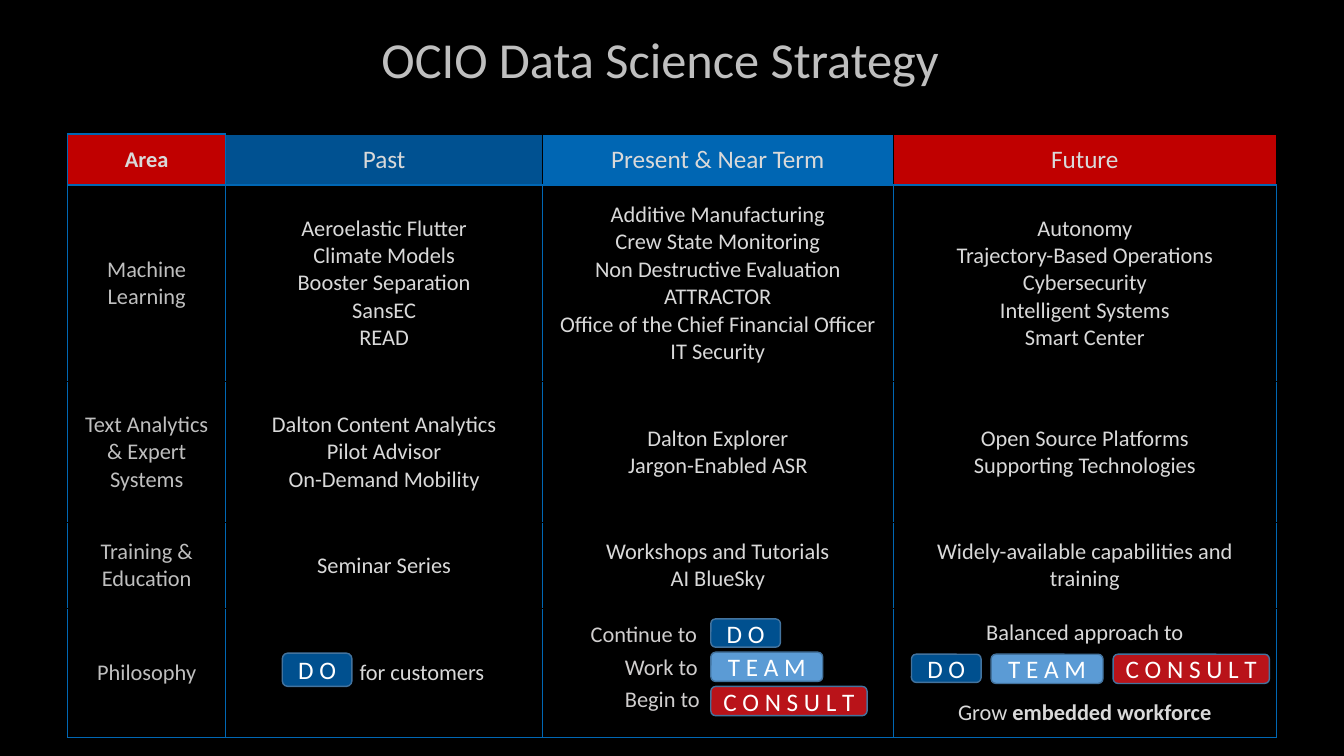
from lxml import etree
from pptx import Presentation
from pptx.dml.color import RGBColor
from pptx.enum.shapes import MSO_SHAPE
from pptx.enum.text import MSO_ANCHOR, PP_ALIGN
from pptx.oxml.ns import qn
from pptx.util import Inches, Pt

ROUNDED = MSO_SHAPE.ROUNDED_RECTANGLE
MIDDLE = MSO_ANCHOR.MIDDLE
CENTER = PP_ALIGN.CENTER
LEFT = PP_ALIGN.LEFT

FONT = "Calibri"
BLACK = RGBColor(0x00, 0x00, 0x00)
WHITE = RGBColor(0xFF, 0xFF, 0xFF)
SILVER = RGBColor(0xBF, 0xBF, 0xBF)
PALE_GREY = RGBColor(0xD9, 0xD9, 0xD9)
LABEL_GREY = RGBColor(0xD0, 0xCE, 0xCE)
GRID_BLUE = RGBColor(0x00, 0x67, 0xB4)
PAST_BLUE = RGBColor(0x00, 0x51, 0x91)
PRESENT_BLUE = RGBColor(0x00, 0x66, 0xB3)
HEADER_RED = RGBColor(0xC0, 0x00, 0x00)
BADGE_EDGE = RGBColor(0x43, 0x73, 0x9E)
DO_BLUE = RGBColor(0x00, 0x50, 0x8F)
TEAM_BLUE = RGBColor(0x5B, 0x9B, 0xD5)
CONSULT_RED = RGBColor(0xB9, 0x13, 0x19)

COLUMN_WIDTHS = (1.57, 3.14, 3.48, 3.8)
ROW_HEIGHTS = (0.49, 1.95, 1.4, 0.85, 1.28)
HEADER_FILLS = (HEADER_RED, PAST_BLUE, PRESENT_BLUE, HEADER_RED)
STRATEGY = (
    (("Area",), ("Past",), ("Present & Near Term",), ("Future",)),
    (
        ("Machine Learning",),
        ("Aeroelastic Flutter", "Climate Models", "Booster Separation", "SansEC", "READ"),
        ("Additive Manufacturing", "Crew State Monitoring", "Non Destructive Evaluation",
         "ATTRACTOR", "Office of the Chief Financial Officer", "IT Security"),
        ("Autonomy", "Trajectory-Based Operations", "Cybersecurity",
         "Intelligent Systems", "Smart Center"),
    ),
    (
        ("Text Analytics & Expert Systems",),
        ("Dalton Content Analytics", "Pilot Advisor", "On-Demand Mobility"),
        ("Dalton Explorer", "Jargon-Enabled ASR"),
        ("Open Source Platforms", "Supporting Technologies"),
    ),
    (
        ("Training & Education",),
        ("Seminar Series",),
        ("Workshops and Tutorials", "AI BlueSky"),
        ("Widely-available capabilities and training",),
    ),
    (("Philosophy",), ("for customers",), (), ("Balanced approach to", "Grow ")),
)
BADGE_STYLES = {
    "D O": (0.69, DO_BLUE),
    "T E A M": (1.11, TEAM_BLUE),
    "C O N S U L T": (1.55, CONSULT_RED),
}
BADGES = (
    ("D O", 2.8, 6.48, 0.33),
    ("D O", 7.05, 6.14, 0.28),
    ("T E A M", 7.05, 6.47, 0.29),
    ("C O N S U L T", 7.05, 6.81, 0.29),
    ("D O", 9.04, 6.49, 0.28),
    ("T E A M", 9.83, 6.49, 0.29),
    ("C O N S U L T", 11.04, 6.49, 0.29),
)
STEPS = (("Continue to", 5.76, 6.1), ("Work to", 6.1, 6.43), ("Begin to", 6.1, 6.75))


def add_run(paragraph, text, size, color, bold=False):
    """Append one styled run to a paragraph."""
    run = paragraph.add_run()
    run.text = text
    run.font.name = FONT
    run.font.size = Pt(size)
    run.font.bold = bold
    run.font.color.rgb = color


def set_borders(cell, colors):
    """Draw the left, right, top and bottom borders of a cell."""
    properties = cell._tc.get_or_add_tcPr()
    for position, (side, color) in enumerate(zip("LRTB", colors)):
        border = etree.Element(qn(f"a:ln{side}"), w=str(Pt(1)))
        fill = etree.SubElement(border, qn("a:solidFill"))
        etree.SubElement(fill, qn("a:srgbClr"), val=str(color))
        properties.insert(position, border)


def border_colors(row, column):
    """Return the left, right, top and bottom border colors at a grid position."""
    if row == 0:
        if column == 0:
            return (GRID_BLUE,) * 4
        left = GRID_BLUE if column == 1 else BLACK
        return left, BLACK, BLACK, GRID_BLUE
    top = GRID_BLUE if row == 1 else BLACK
    bottom = GRID_BLUE if row == len(STRATEGY) - 1 else BLACK
    return GRID_BLUE, GRID_BLUE, top, bottom


def fill_cell(cell, row, column, lines):
    """Style one strategy cell and write its lines."""
    cell.vertical_anchor = MIDDLE
    cell.margin_left = cell.margin_right = Inches(0.1)
    cell.margin_top = cell.margin_bottom = Inches(0.1)
    if row == 0 or column == 0:
        cell.fill.solid()
        cell.fill.fore_color.rgb = HEADER_FILLS[column] if row == 0 else BLACK
    else:
        cell.fill.background()
    set_borders(cell, border_colors(row, column))
    size = 18 if row == 0 and column > 0 else 16
    color = SILVER if row > 0 and column == 0 else PALE_GREY
    frame = cell.text_frame
    for index, line in enumerate(lines):
        paragraph = frame.add_paragraph() if index else frame.paragraphs[0]
        paragraph.alignment = CENTER
        add_run(paragraph, line, size, color, bold=row == column == 0)


def add_strategy_table(slide):
    """Add the strategy grid by area and period."""
    table = slide.shapes.add_table(
        len(ROW_HEIGHTS), len(COLUMN_WIDTHS), Inches(0.67), Inches(1.33),
        Inches(sum(COLUMN_WIDTHS)), Inches(sum(ROW_HEIGHTS))).table
    table.horz_banding = False
    for column, width in zip(table.columns, COLUMN_WIDTHS):
        column.width = Inches(width)
    for row, height in zip(table.rows, ROW_HEIGHTS):
        row.height = Inches(height)
    for row, areas in enumerate(STRATEGY):
        for column, lines in enumerate(areas):
            fill_cell(table.cell(row, column), row, column, lines)
    table.cell(4, 1).margin_left = Inches(0.85)
    workforce = table.cell(4, 3).text_frame.paragraphs[1]
    workforce.space_before = Pt(38)
    add_run(workforce, "embedded workforce", 16, PALE_GREY, bold=True)


def add_label(slide, text, left, top, width, height, size, color, alignment):
    """Add a one-line text box and return its frame."""
    frame = slide.shapes.add_textbox(
        Inches(left), Inches(top), Inches(width), Inches(height)).text_frame
    frame.word_wrap = True
    frame.paragraphs[0].alignment = alignment
    add_run(frame.paragraphs[0], text, size, color)
    return frame


def add_badge(slide, text, left, top, height):
    """Add a rounded badge naming a way of working."""
    width, color = BADGE_STYLES[text]
    badge = slide.shapes.add_shape(
        ROUNDED, Inches(left), Inches(top), Inches(width), Inches(height))
    badge.shadow.inherit = False
    badge.fill.solid()
    badge.fill.fore_color.rgb = color
    badge.line.color.rgb = BADGE_EDGE
    badge.line.width = Pt(1)
    frame = badge.text_frame
    frame.word_wrap = True
    frame.vertical_anchor = MIDDLE
    frame.paragraphs[0].alignment = CENTER
    add_run(frame.paragraphs[0], text, 18, WHITE)


def main():
    """Build and save the strategy slide."""
    presentation = Presentation()
    presentation.slide_width = Inches(13.33)
    presentation.slide_height = Inches(7.5)
    slide = presentation.slides.add_slide(presentation.slide_layouts[6])
    slide.background.fill.solid()
    slide.background.fill.fore_color.rgb = BLACK
    add_strategy_table(slide)
    title = add_label(slide, "OCIO Data Science Strategy",
                      2.8, 0.24, 7.5, 0.64, 36, SILVER, CENTER)
    title.margin_left = title.margin_right = Inches(0.07)
    title.margin_top = title.margin_bottom = Inches(0.04)
    for text, left, top in STEPS:
        add_label(slide, text, left, top, 1.37, 0.37, 16, LABEL_GREY, LEFT)
    for badge in BADGES:
        add_badge(slide, *badge)
    presentation.save("out.pptx")


if __name__ == "__main__":
    main()
